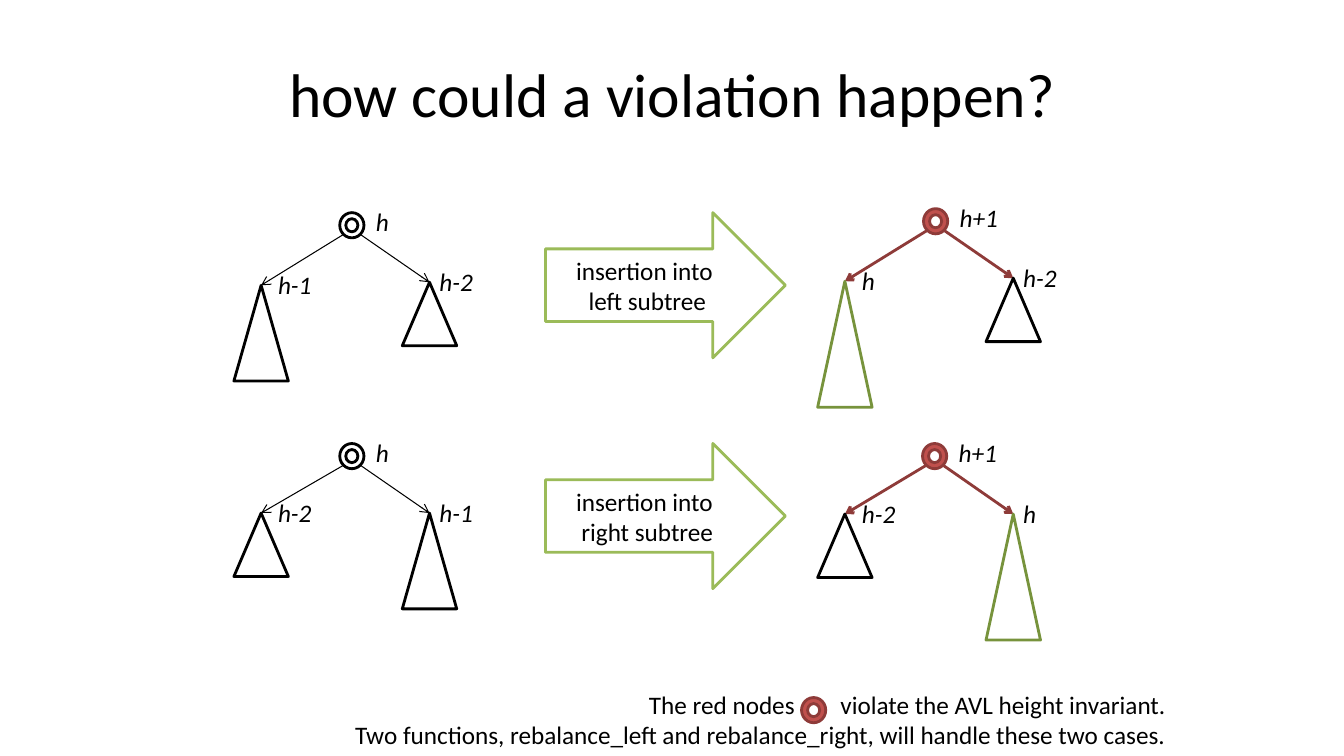
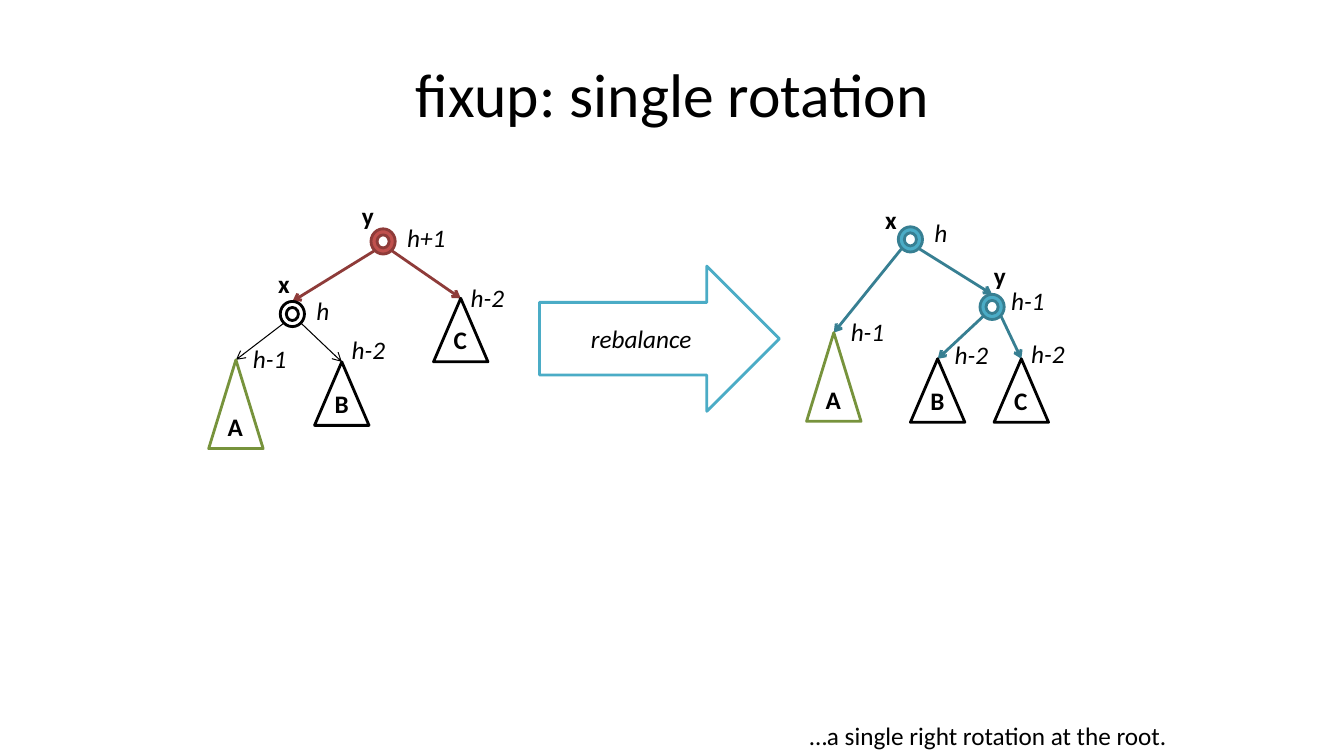
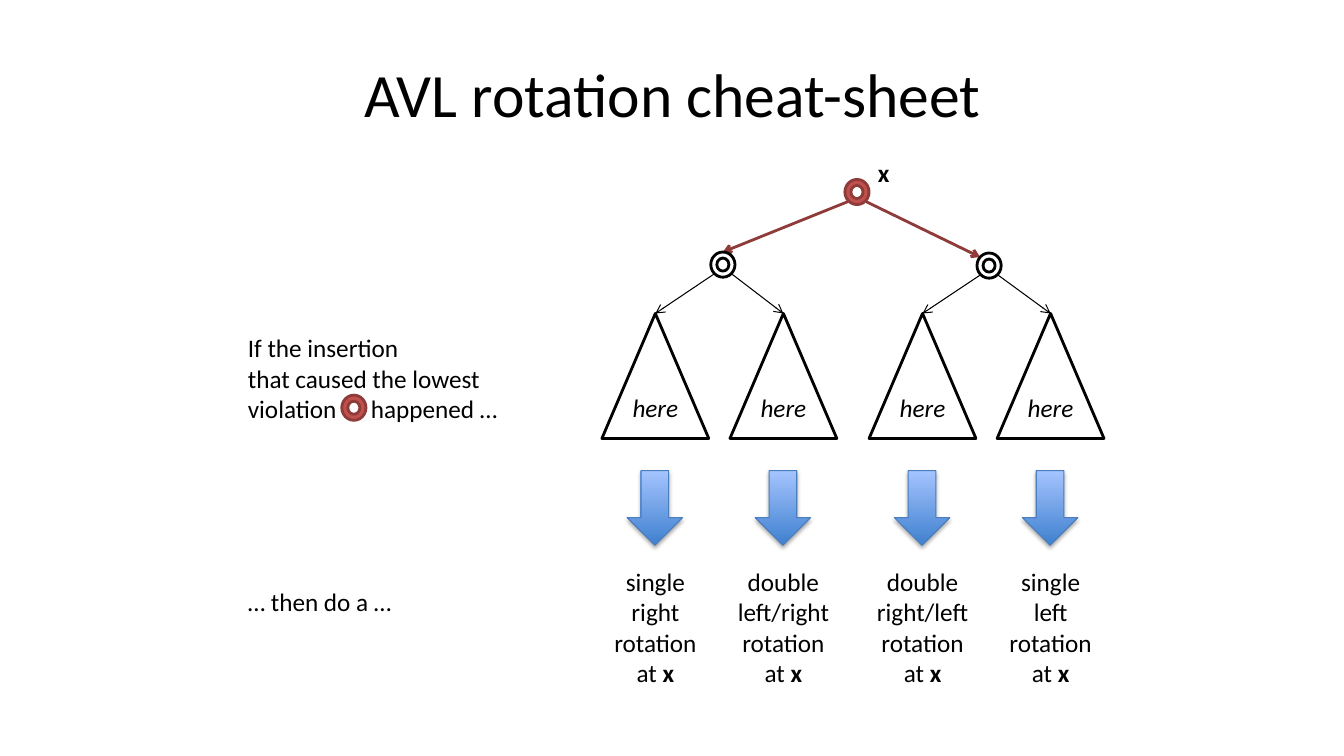
from dataclasses import dataclass
from typing import Optional, Union

from lxml.etree import SubElement
from pptx import Presentation
from pptx.dml.color import RGBColor
from pptx.enum.shapes import MSO_CONNECTOR, MSO_SHAPE
from pptx.enum.text import MSO_ANCHOR, MSO_AUTO_SIZE, PP_ALIGN
from pptx.oxml.ns import qn
from pptx.util import Inches, Pt

FONT = "Calibri"
BLACK, WHITE = "000000", "FFFFFF"
GREEN, LIME, TEAL = "77933C", "9BBB59", "4BACC6"
RING_WIDTH, RING_HEIGHT = 0.24, 0.25
LABEL_HEIGHT = 0.4
LABEL_WIDTHS = {"h": 0.33, "h+1": 0.59, "h-1": 0.54, "h-2": 0.54,
                "A": 0.36, "B": 0.34, "C": 0.34, "x": 0.33, "y": 0.33}


@dataclass(frozen=True)
class RingStyle:
    fill: str
    line: str
    edge_width: float


PLAIN = RingStyle(WHITE, BLACK, 0.75)
RED = RingStyle("C0504D", "8E3B39", 2)
BLUE = RingStyle(TEAL, "377F92", 2)


@dataclass(frozen=True)
class Span:
    text: str
    bold: bool = False
    italic: bool = False
    spacing: float = 0


@dataclass(frozen=True)
class Subtree:
    """A triangle whose apex is at (x, top)."""
    x: float
    top: float
    height: float = 0.63
    label: str = ""
    line: str = BLACK
    letter: str = ""
    inner_text: str = ""
    width: float = 0.54
    label_shift: float = -0.21
    joint: tuple[float, float] = (0, 0)


@dataclass(frozen=True)
class Ring:
    """A tree node centred on x; joint is where the edge from its parent ends."""
    x: float
    top: float
    style: RingStyle
    children: tuple[Union["Ring", Subtree], ...] = ()
    label: str = ""
    label_offset: tuple[float, float] = (0.14, -0.11)
    name: str = ""
    name_offset: tuple[float, float] = (0, 0)
    joint: tuple[float, float] = (0, 0)


def colour(value: str) -> RGBColor:
    return RGBColor.from_string(value)


def write(frame, paragraphs: list[list[Span]], alignment=PP_ALIGN.LEFT, size: float = 18) -> None:
    for index, spans in enumerate(paragraphs):
        para = frame.paragraphs[0] if index == 0 else frame.add_paragraph()
        para.alignment = alignment
        for span in spans:
            for number, line in enumerate(span.text.split("\n")):
                if number:
                    para.add_line_break()
                run = para.add_run()
                run.text = line
                font = run.font
                font.name, font.size = FONT, Pt(size)
                font.bold, font.italic = span.bold, span.italic
                font.color.rgb = colour(BLACK)
                if span.spacing:
                    run._r.get_or_add_rPr().set("spc", str(round(span.spacing * 100)))


def add_text(page, left: float, top: float, width: float, height: float,
             paragraphs: list[list[Span]], alignment=PP_ALIGN.LEFT, anchor=MSO_ANCHOR.TOP) -> None:
    box = page.shapes.add_textbox(Inches(left), Inches(top), Inches(width), Inches(height))
    frame = box.text_frame
    frame.word_wrap = False
    frame.auto_size = MSO_AUTO_SIZE.NONE
    frame.vertical_anchor = anchor
    write(frame, paragraphs, alignment)


def add_label(page, left: float, top: float, span: Span) -> None:
    add_text(page, left, top, LABEL_WIDTHS[span.text], LABEL_HEIGHT, [[span]])


def add_outlined(page, kind, left: float, top: float, width: float, height: float,
                 line: str, fill: str = WHITE, line_width: float = 2):
    shape = page.shapes.add_shape(kind, Inches(left), Inches(top), Inches(width), Inches(height))
    shape.shadow.inherit = False
    shape.fill.solid()
    shape.fill.fore_color.rgb = colour(fill)
    shape.line.color.rgb = colour(line)
    shape.line.width = Pt(line_width)
    return shape


def add_edge(page, start: tuple[float, float], end: tuple[float, float], style: RingStyle) -> None:
    edge = page.shapes.add_connector(MSO_CONNECTOR.STRAIGHT, *(Inches(v) for v in (*start, *end)))
    edge.line.color.rgb = colour(style.line)
    edge.line.width = Pt(style.edge_width)
    properties = edge._element.spPr
    SubElement(properties.find(qn("a:ln")), qn("a:tailEnd"), type="arrow")
    SubElement(properties, qn("a:effectLst"))


def add_ring(page, x: float, top: float, style: RingStyle) -> None:
    add_outlined(page, MSO_SHAPE.DONUT, x - RING_WIDTH / 2, top, RING_WIDTH, RING_HEIGHT,
                 style.line, style.fill)


def draw_subtree(page, tree: Subtree) -> None:
    shape = add_outlined(page, MSO_SHAPE.ISOSCELES_TRIANGLE, tree.x - tree.width / 2, tree.top,
                         tree.width, tree.height, tree.line)
    if tree.inner_text:
        frame = shape.text_frame
        frame.margin_left = frame.margin_right = 0
        frame.vertical_anchor = MSO_ANCHOR.MIDDLE
        write(frame, [[Span(tree.inner_text, italic=True)]], PP_ALIGN.CENTER)
    if tree.letter:
        add_label(page, tree.x - LABEL_WIDTHS[tree.letter] / 2, tree.top + tree.height - 0.42,
                  Span(tree.letter, bold=True))


def draw_tree(page, ring: Ring) -> None:
    add_ring(page, ring.x, ring.top, ring.style)
    for child, side, label_dx in zip(ring.children, (-1, 1), (0.07, 0)):
        add_edge(page, (ring.x + side * 0.09, ring.top + 0.22),
                 (child.x + child.joint[0], child.top + child.joint[1]), ring.style)
        if isinstance(child, Ring):
            draw_tree(page, child)
            continue
        draw_subtree(page, child)
        if child.label:
            add_label(page, child.x + label_dx, child.top + child.label_shift,
                      Span(child.label, italic=True))
    for span, (dx, dy) in ((Span(ring.label, italic=True), ring.label_offset),
                           (Span(ring.name, bold=True), ring.name_offset)):
        if span.text:
            add_label(page, ring.x + dx, ring.top + dy, span)


def add_step_arrow(page, left: float, top: float, line: str, span: Span) -> None:
    arrow = add_outlined(page, MSO_SHAPE.RIGHT_ARROW, left, top, 2.38, 1.44, line)
    arrow.text_frame.vertical_anchor = MSO_ANCHOR.MIDDLE
    write(arrow.text_frame, [[span]], PP_ALIGN.CENTER)


def add_down_arrow(page, x: float) -> None:
    arrow = add_outlined(page, MSO_SHAPE.DOWN_ARROW, x - 0.28, 4.67, 0.55, 0.74, "4B7EBC",
                         line_width=0.75)
    arrow.fill.gradient()
    arrow.fill.gradient_angle = 90
    for stop, (position, value) in zip(arrow.fill.gradient_stops, ((0, "3F80CE"), (1, "A4C4FF"))):
        stop.position = position
        stop.color.rgb = colour(value)
    effects = arrow._element.spPr.find(qn("a:effectLst"))
    shadow = SubElement(effects, qn("a:outerShdw"), blurRad=str(Pt(3.1)), dist=str(Pt(1.8)),
                        dir="5400000", rotWithShape="0")
    shade = SubElement(shadow, qn("a:srgbClr"), val=BLACK)
    SubElement(shade, qn("a:alpha"), val="35000")


def add_page(deck, heading: str):
    page = deck.slides.add_slide(deck.slide_layouts[5])
    title = page.shapes.title
    title.left, title.top, title.width, title.height = map(Inches, (0.67, 0.3, 12, 1.25))
    title.text_frame.vertical_anchor = MSO_ANCHOR.MIDDLE
    write(title.text_frame, [[Span(heading)]], PP_ALIGN.CENTER, 44)
    return page


def build_violation(deck) -> None:
    page = add_page(deck, "how could a violation happen?")
    trees = (
        Ring(3.49, 2.11, PLAIN, (Subtree(2.59, 2.83, 0.95, "h-1"),
                                 Subtree(4.26, 2.8, label="h-2")), "h"),
        Ring(9.28, 2.07, RED, (Subtree(8.38, 2.79, 1.25, "h", GREEN),
                               Subtree(10.05, 2.76, label="h-2")), "h+1"),
        Ring(3.49, 4.4, PLAIN, (Subtree(2.59, 5.09, label="h-2"),
                                Subtree(4.26, 5.09, 0.95, "h-1")), "h"),
        Ring(9.27, 4.4, RED, (Subtree(8.38, 5.1, label="h-2"),
                              Subtree(10.05, 5.1, 1.25, "h", GREEN)), "h+1"),
    )
    for tree in trees:
        draw_tree(page, tree)
    for top, side in ((2.11, "left"), (4.4, "right")):
        add_step_arrow(page, 5.41, top, LIME, Span(f"insertion into \n{side} subtree"))
    add_text(page, 3.31, 6.79, 8.35, 0.71, [
        [Span("The red nodes"), Span(" ", spacing=28.5), Span("violate the AVL height invariant.")],
        [Span("Two functions, rebalance_left and rebalance_right, will handle these two cases.")],
    ], PP_ALIGN.RIGHT)
    add_ring(page, 8.07, 6.92, RED)


def build_single_rotation(deck) -> None:
    page = add_page(deck, "fixup: single rotation")
    before_x = Ring(2.9, 2.99, PLAIN, (
        Subtree(2.34, 3.57, 0.88, "h-1", GREEN, "A"),
        Subtree(3.39, 3.59, label="h-2", letter="B", label_shift=-0.32),
    ), "h", name="x", name_offset=(-0.24, -0.38))
    before = Ring(3.8, 2.27, RED, (before_x, Subtree(4.57, 2.96, label="h-2", letter="C")),
                  "h+1", name="y", name_offset=(-0.31, -0.33))
    after_y = Ring(9.84, 2.92, BLUE, (
        Subtree(9.3, 3.56, label="h-2", letter="B", label_shift=-0.24),
        Subtree(10.13, 3.56, label="h-2", letter="C", label_shift=-0.25),
    ), "h-1", (0.09, -0.14), "y", (-0.08, -0.39))
    after = Ring(9.03, 2.25, BLUE, (Subtree(8.27, 3.3, 0.88, "h-1", GREEN, "A"), after_y),
                 "h", (0.14, -0.14), "x", (-0.35, -0.27))
    draw_tree(page, before)
    draw_tree(page, after)
    add_step_arrow(page, 5.35, 2.64, TEAL, Span("rebalance", italic=True))
    add_text(page, 1.67, 6.79, 10, 0.71, [[Span("…a single right rotation at the root.")]],
             PP_ALIGN.RIGHT, MSO_ANCHOR.BOTTOM)


def build_cheat_sheet(deck) -> None:
    page = add_page(deck, "AVL rotation cheat-sheet")
    columns = {6.5: "single\nright", 7.77: "double\nleft/right",
               9.15: "double\nright/left", 10.42: "single\nleft"}
    subtrees = tuple(Subtree(x, 3.11, 1.24, inner_text="here", width=1.06) for x in columns)
    draw_tree(page, Ring(8.5, 1.78, RED, (
        Ring(7.17, 2.5, PLAIN, subtrees[:2]),
        Ring(9.81, 2.51, PLAIN, subtrees[2:], joint=(-0.09, 0.04)),
    ), name="x", name_offset=(0.11, -0.27)))
    for x, rotation in columns.items():
        add_down_arrow(page, x)
        add_text(page, x - 0.56, 5.57, 1.12, 1.31,
                 [[Span(f"{rotation}\nrotation\nat "), Span("x", bold=True)]], PP_ALIGN.CENTER)
    add_text(page, 2.36, 3.25, 2.71, 1.01, [[
        Span("If the insertion\nthat caused the lowest\nviolation"),
        Span(" ", spacing=20.5), Span("happened …")]])
    add_ring(page, 3.51, 3.92, RED)
    add_text(page, 2.36, 5.77, 1.66, LABEL_HEIGHT, [[Span("… then do a …")]])


def main() -> None:
    deck = Presentation()
    deck.slide_width, deck.slide_height = Inches(13.33), Inches(7.5)
    for build in (build_violation, build_single_rotation, build_cheat_sheet):
        build(deck)
    deck.save("out.pptx")


if __name__ == "__main__":
    main()
